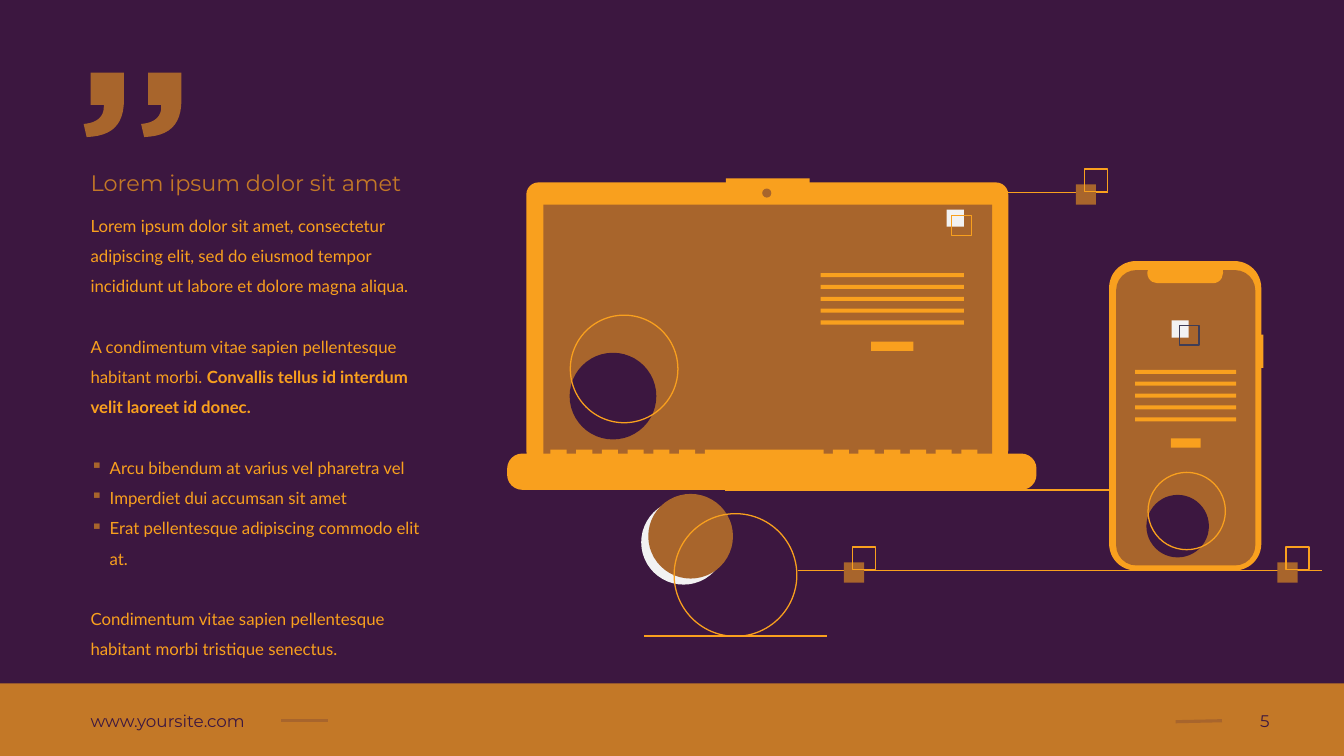
from lxml import etree
from pptx import Presentation
from pptx.dml.color import RGBColor
from pptx.enum.shapes import MSO_CONNECTOR, MSO_SHAPE
from pptx.enum.text import MSO_ANCHOR, PP_ALIGN
from pptx.oxml.ns import qn
from pptx.util import Inches, Pt

RECT, ROUND, OVAL = MSO_SHAPE.RECTANGLE, MSO_SHAPE.ROUNDED_RECTANGLE, MSO_SHAPE.OVAL
LINE = MSO_CONNECTOR.STRAIGHT
LEFT, RIGHT = PP_ALIGN.LEFT, PP_ALIGN.RIGHT
TOP, MID = MSO_ANCHOR.TOP, MSO_ANCHOR.MIDDLE
COLORS = {"plum": "3C1740", "ochre": "C37827", "brown": "A8652C",
          "gold": "F9A01E", "white": "F2F2F2", "slate": "3F3D56"}
HEAD = {"name": "Montserrat", "size": Pt(16), "bold": False}
FOOT = {"name": "Montserrat", "size": Pt(12)}
BODY = {"name": "Lato", "size": Pt(12)}
GAP = Pt(21.6)
STROKE = 0.9
TEXT = [
    ("Lorem ipsum dolor sit amet, consectetur adipiscing elit, sed do eiusmod "
     "tempor incididunt ut labore et dolore magna aliqua.", "", False, False),
    ("A condimentum vitae sapien pellentesque habitant morbi. ",
     "Convallis tellus id interdum velit laoreet id donec.", True, False),
    ("Arcu bibendum at varius vel pharetra vel", "", True, True),
    ("Imperdiet dui accumsan sit amet", "", False, True),
    ("Erat pellentesque adipiscing commodo elit at.", "", False, True),
    ("Condimentum vitae sapien pellentesque habitant morbi tristique senectus.",
     "", True, False),
]


def color(name):
    """Return the named colour."""
    return RGBColor.from_string(COLORS[name])


def style(font, look, tint):
    """Set font values and colour."""
    for key, value in look.items():
        setattr(font, key, value)
    font.color.rgb = color(tint)


def solid(slide, kind, box, tint, radius=0):
    """Add a filled shape without outline."""
    shape = slide.shapes.add_shape(kind, *map(Inches, box))
    shape.shadow.inherit = False
    shape.fill.solid()
    shape.fill.fore_color.rgb = color(tint)
    shape.line.fill.background()
    if radius:
        shape.adjustments[0] = radius / min(box[2:])


def ring(slide, kind, x, y, size, tint="gold"):
    """Add an outline whose outer edge fills a square box."""
    inset = STROKE / 144
    side = Inches(size - 2 * inset)
    shape = slide.shapes.add_shape(kind, Inches(x + inset), Inches(y + inset), side, side)
    shape.shadow.inherit = False
    shape.fill.background()
    shape.line.color.rgb = color(tint)
    shape.line.width = Pt(STROKE)


def rule(slide, ends, tint, width):
    """Add a straight line."""
    line = slide.shapes.add_connector(LINE, *map(Inches, ends))
    line.line.color.rgb = color(tint)
    line.line.width = Pt(width)
    etree.SubElement(line._element.spPr, qn("a:effectLst"))


def field(slide, box, anchor):
    """Add an empty wrapping text box and return its frame."""
    frame = slide.shapes.add_textbox(*map(Inches, box)).text_frame
    frame.word_wrap = True
    frame.vertical_anchor = anchor
    return frame


def title(slide, box):
    """Place and format the title."""
    shape = slide.shapes.title
    shape.left, shape.top, shape.width, shape.height = map(Inches, box)
    frame = shape.text_frame
    frame.text = "Lorem ipsum dolor sit amet"
    frame.vertical_anchor = TOP
    para = frame.paragraphs[0]
    para.alignment = LEFT
    para.line_spacing = 1.2
    style(para.runs[0].font, HEAD, "ochre")


def bullet(para):
    """Give a paragraph a small square bullet."""
    props = para._p.get_or_add_pPr()
    props.set("marL", str(Inches(0.19)))
    props.set("indent", str(Inches(-0.19)))
    tint = etree.SubElement(props, qn("a:buClr"))
    etree.SubElement(tint, qn("a:srgbClr"), val=COLORS["brown"])
    etree.SubElement(props, qn("a:buChar"), char="▪")


def body(slide, box):
    """Write the body copy."""
    frame = field(slide, box, TOP)
    for i, (plain, strong, gap, dot) in enumerate(TEXT):
        para = frame.add_paragraph() if i else frame.paragraphs[0]
        para.line_spacing = 1.5
        para.space_before = GAP if gap else Pt(0)
        if dot:
            bullet(para)
        for words, bold in ((plain, False), (strong, True)):
            if words:
                run = para.add_run()
                run.text = words
                style(run.font, {**BODY, "bold": bold}, "gold")


def curve(a, b, c, d, steps=12):
    """Return points along a Bézier curve."""
    return [tuple((1 - t) ** 3 * p + 3 * t * (1 - t) ** 2 * q + 3 * t * t * (1 - t) * r
                  + t ** 3 * s for p, q, r, s in zip(a, b, c, d))
            for t in (n / steps for n in range(1, steps + 1))]


def quote(slide, x, y):
    """Draw one quotation mark."""
    points = [(0, 0.51), *curve((0, 0.51), (0.13, 0.5), (0.2, 0.44), (0.2, 0.34)),
              (0.2, 0.32), (0.07, 0.32), (0.07, 0), (0.4, 0), (0.4, 0.27),
              *curve((0.4, 0.27), (0.4, 0.53), (0.27, 0.63), (0.03, 0.64))]
    spots = [(Inches(x + a), Inches(y + b)) for a, b in points]
    pen = slide.shapes.build_freeform(*spots[0])
    pen.add_line_segments(spots[1:], close=True)
    mark = pen.convert_to_shape()
    mark.shadow.inherit = False
    mark.fill.solid()
    mark.fill.fore_color.rgb = color("brown")
    mark.line.fill.background()


def copy_bars(slide, x, y, w):
    """Draw five text bars and a button below them."""
    for i in range(5):
        solid(slide, RECT, (x, y + i * 0.1175, w, 0.04), "gold")
    wide = w * 0.295
    solid(slide, RECT, (x + (w - wide) / 2, y + 0.68, wide, 0.09), "gold")


def node(slide, x, y):
    """Draw a filled square with an outlined one above."""
    solid(slide, RECT, (x, y, 0.2, 0.2), "brown")
    ring(slide, RECT, x + 0.08, y - 0.16, 0.24)


def laptop(slide, x, y, w, h):
    """Draw the laptop in its box."""
    solid(slide, ROUND, (x + 0.19, y + 0.04, 4.78, h - 0.31), "gold", 0.12)
    solid(slide, RECT, (x + 2.17, y, 0.83, 0.1), "gold")
    solid(slide, RECT, (x + 0.36, y + 0.26, 4.45, 2.51), "brown")
    solid(slide, OVAL, (x + 2.53, y + 0.1, 0.09, 0.09), "brown")
    solid(slide, OVAL, (x + 0.62, y + 1.73, 0.86, 0.86), "plum")
    copy_bars(slide, x + 3.11, y + 0.94, 1.42)
    solid(slide, RECT, (x + 4.36, y + 0.31, 0.17, 0.17), "white")
    ring(slide, RECT, x + 4.4, y + 0.36, 0.21)
    solid(slide, ROUND, (x, y + h - 0.36, w, 0.36), "gold", 0.15)
    for start in (0.43, 3.23):
        for i in range(6):
            solid(slide, RECT, (x + start + i * 0.255, y + h - 0.4, 0.16, 0.08), "gold")
    solid(slide, RECT, (x + 1.96, y + h - 0.4, 1.18, 0.08), "gold")
    ring(slide, OVAL, x + 0.62, y + 1.35, 1.08)


def phone(slide, x, y, w, h):
    """Draw the phone in its box."""
    solid(slide, ROUND, (x, y, w - 0.02, h), "gold", 0.265)
    solid(slide, RECT, (x + w - 0.06, y + 0.73, 0.06, 0.33), "gold")
    solid(slide, ROUND, (x + 0.07, y + 0.09, 1.38, 2.93), "brown", 0.2)
    solid(slide, ROUND, (x + 0.38, y + 0.01, 0.75, 0.21), "gold", 0.1)
    copy_bars(slide, x + 0.26, y + 1.08, 1)
    solid(slide, RECT, (x + 0.62, y + 0.59, 0.17, 0.17), "white")
    ring(slide, RECT, x + 0.69, y + 0.63, 0.21, "slate")
    solid(slide, OVAL, (x + 0.37, y + 2.32, 0.62, 0.62), "plum")
    ring(slide, OVAL, x + 0.38, y + 2.09, 0.78)


def scene(slide, x, y):
    """Place the devices with their lines, discs and nodes."""
    solid(slide, OVAL, (x + 1.33, y + 3.28, 0.84, 0.84), "white")
    solid(slide, OVAL, (x + 1.4, y + 3.22, 0.84, 0.84), "brown")
    for left, top, wide in ((2.16, 3.18, 5.2), (4.16, 0.23, 1.8),
                            (2.88, 3.98, 5.2), (1.36, 4.63, 1.81)):
        rule(slide, (x + left, y + top, x + left + wide, y + top), "gold", STROKE)
    laptop(slide, x, y + 0.09, 5.25, 3.09)
    for left, top in ((3.34, 3.9), (5.64, 0.15), (7.64, 3.9)):
        node(slide, x + left, y + top)
    phone(slide, x + 5.97, y + 0.91, 1.53, 3.07)
    ring(slide, OVAL, x + 1.65, y + 3.41, 1.23)


def footer(slide, x, y, w, h):
    """Draw the footer band with address and page number."""
    solid(slide, RECT, (x, y, w, h), "ochre")
    for words, left, wide, align in (("www.yoursite.com", 0.8, 1.99, LEFT),
                                     ("5", 12.12, 0.57, RIGHT)):
        frame = field(slide, (x + left, y + 0.17, wide, 0.4), MID)
        frame.text = words
        para = frame.paragraphs[0]
        para.alignment = align
        style(para.runs[0].font, FOOT, "plum")
    for start, end, drop in ((2.79, 3.25, 0), (12.12, 11.66, 0.01)):
        rule(slide, (x + start, y + 0.37, x + end, y + 0.37 + drop), "brown", 2.25)


def main():
    """Build and save the slide."""
    deck = Presentation()
    deck.slide_width, deck.slide_height = Inches(13.33), Inches(7.5)
    slide = deck.slides.add_slide(deck.slide_layouts[5])
    slide.background.fill.solid()
    slide.background.fill.fore_color.rgb = color("plum")
    footer(slide, 0, 6.78, 13.33, 0.72)
    title(slide, (0.8, 1.57, 3.5, 0.4))
    body(slide, (0.8, 1.99, 3.47, 4.61))
    for x in (0.83, 1.4):
        quote(slide, x, 0.72)
    scene(slide, 5.03, 1.68)
    deck.save("out.pptx")


if __name__ == "__main__":
    main()
